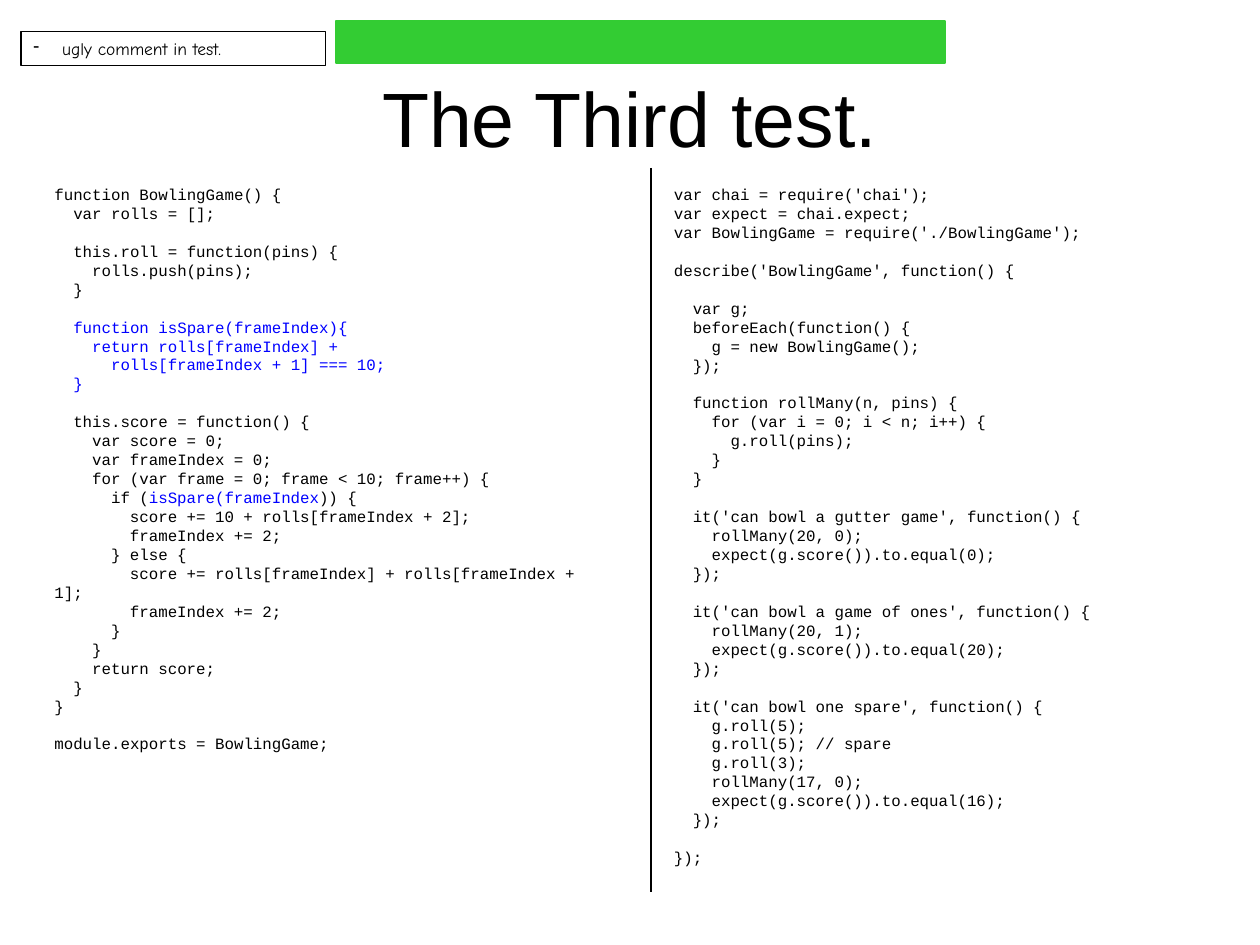
from lxml.etree import SubElement
from pptx import Presentation
from pptx.dml.color import RGBColor
from pptx.enum.shapes import MSO_CONNECTOR, MSO_SHAPE
from pptx.enum.text import MSO_ANCHOR, PP_ALIGN
from pptx.oxml.ns import qn
from pptx.util import Pt

COLORS = {"black": "000000", "blue": "0000FF", "green": "33CC33"}
CODE_SIZE = 9
CHARACTER_WIDTH = 0.6 * CODE_SIZE
LINE_HEIGHT = 10.84
ACCENT_MARK = "~"

GAME_CODE = """\
function BowlingGame() {
  var rolls = [];

  this.roll = function(pins) {
    rolls.push(pins);
  }

  ~function isSpare(frameIndex){
    ~return rolls[frameIndex] +
      ~rolls[frameIndex + 1] === 10;
  ~}

  this.score = function() {
    var score = 0;
    var frameIndex = 0;
    for (var frame = 0; frame < 10; frame++) {
      if (~isSpare(frameIndex~)) {
        score += 10 + rolls[frameIndex + 2];
        frameIndex += 2;
      } else {
        score += rolls[frameIndex] + rolls[frameIndex + 1];
        frameIndex += 2;
      }
    }
    return score;
  }
}

module.exports = BowlingGame;"""

TEST_CODE = """\
var chai = require('chai');
var expect = chai.expect;
var BowlingGame = require('./BowlingGame');

describe('BowlingGame', function() {

  var g;
  beforeEach(function() {
    g = new BowlingGame();
  });

  function rollMany(n, pins) {
    for (var i = 0; i < n; i++) {
      g.roll(pins);
    }
  }

  it('can bowl a gutter game', function() {
    rollMany(20, 0);
    expect(g.score()).to.equal(0);
  });

  it('can bowl a game of ones', function() {
    rollMany(20, 1);
    expect(g.score()).to.equal(20);
  });

  it('can bowl one spare', function() {
    g.roll(5);
    g.roll(5); // spare
    g.roll(3);
    rollMany(17, 0);
    expect(g.score()).to.equal(16);
  });

});"""


def color(name):
    return RGBColor.from_string(COLORS[name])


def add_span(para, text, font_name, size, color_name="black"):
    span = para.add_run()
    span.text = text
    span.font.name = font_name
    span.font.size = Pt(size)
    span.font.color.rgb = color(color_name)


deck = Presentation()
deck.slide_width, deck.slide_height = Pt(720), Pt(540)
page = deck.slides.add_slide(deck.slide_layouts[6])

title_box = page.shapes.add_textbox(Pt(36), Pt(21.6), Pt(648), Pt(90))
title_box.text_frame.word_wrap = True
title_box.text_frame.vertical_anchor = MSO_ANCHOR.MIDDLE
title_para = title_box.text_frame.paragraphs[0]
title_para.alignment = PP_ALIGN.CENTER
add_span(title_para, "The Third test.", "Arial", 44)

for left, height, code in ((24, 332, GAME_CODE), (378, 397.5, TEST_CODE)):
    code_box = page.shapes.add_textbox(Pt(left), Pt(102), Pt(318), Pt(height))
    frame = code_box.text_frame
    frame.word_wrap = True
    para = frame.paragraphs[0]
    for block_index, block in enumerate(code.split("\n\n")):
        for line_index, line in enumerate(block.split("\n")):
            if block_index or line_index:
                para = frame.add_paragraph()
            para.line_spacing = Pt(LINE_HEIGHT)
            if block_index and not line_index:
                para.space_before = Pt(LINE_HEIGHT)
            statement = line.lstrip()
            depth = len(line) - len(statement)
            para._p.get_or_add_pPr().set("indent", str(Pt(depth * CHARACTER_WIDTH)))
            for part_index, part in enumerate(statement.split(ACCENT_MARK)):
                if part:
                    add_span(para, part, "Courier New", CODE_SIZE,
                             "blue" if part_index % 2 else "black")

divider = page.shapes.add_connector(MSO_CONNECTOR.STRAIGHT, Pt(372), Pt(96), Pt(372), Pt(510))
divider.line.color.rgb = color("black")
divider.line.width = Pt(0.75)
SubElement(divider._element.spPr, qn("a:effectLst"))

comment_box = page.shapes.add_shape(MSO_SHAPE.RECTANGLE, Pt(12), Pt(18), Pt(174), Pt(19.5))
comment_box.fill.background()
comment_box.line.color.rgb = color("black")
comment_box.text_frame.word_wrap = True
comment_para = comment_box.text_frame.paragraphs[0]
comment_para.alignment = PP_ALIGN.LEFT
comment_format = comment_para._p.get_or_add_pPr()
comment_format.set("marL", str(Pt(16.5)))
comment_format.set("indent", str(Pt(-16.5)))
bullet_color = SubElement(comment_format, qn("a:buClr"))
SubElement(bullet_color, qn("a:srgbClr"), val=COLORS["black"])
SubElement(comment_format, qn("a:buChar"), char="-")
add_span(comment_para, "ugly comment in test.", "Comic Neue", 10)

status_bar = page.shapes.add_shape(MSO_SHAPE.RECTANGLE, Pt(192), Pt(12), Pt(348), Pt(24))
status_bar.fill.solid()
status_bar.fill.fore_color.rgb = color("green")
status_bar.line.color.rgb = color("green")

for box in (comment_box, status_bar):
    box.line.width = Pt(0.75)
    box.shadow.inherit = False

deck.save("out.pptx")
